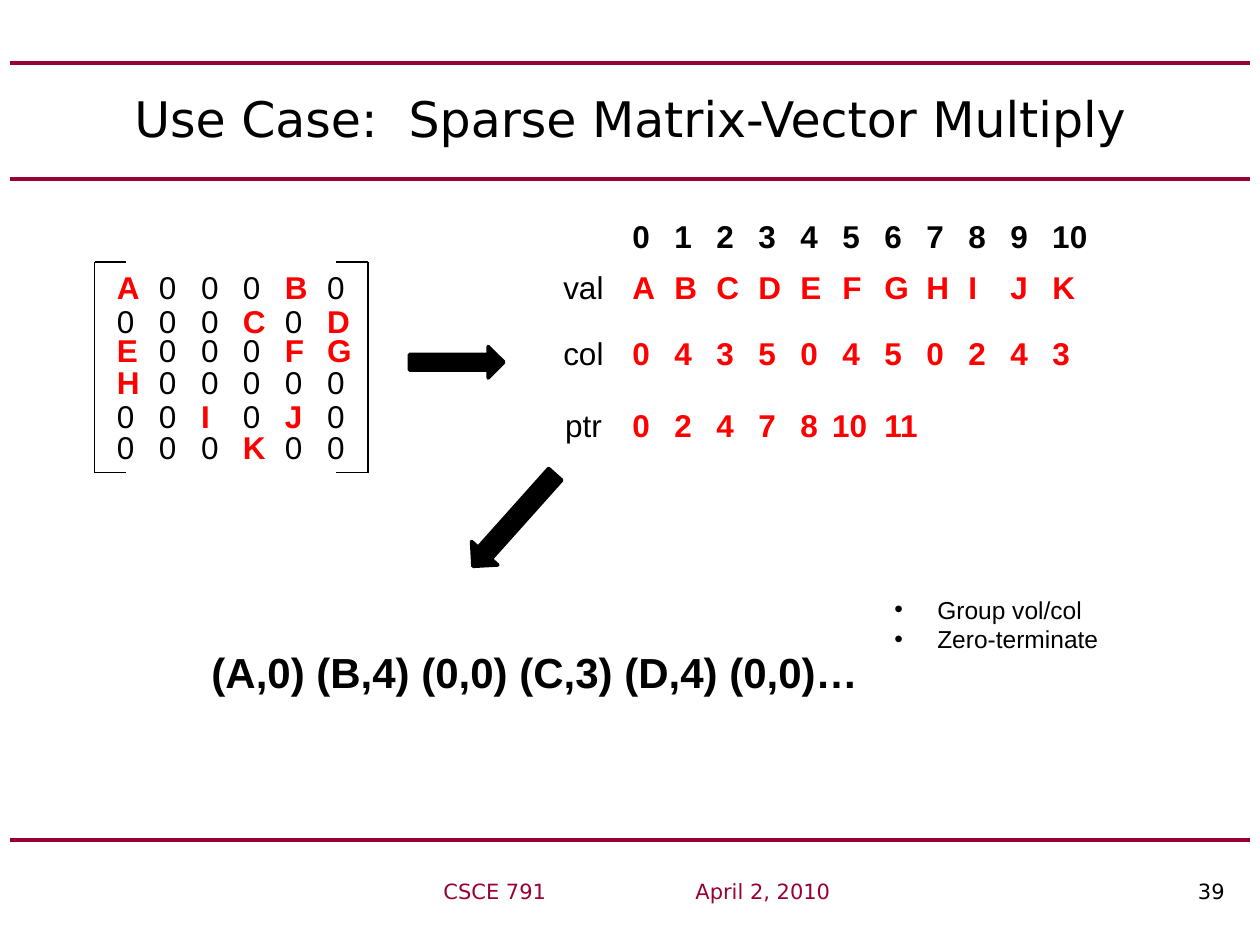
from lxml.etree import SubElement
from pptx import Presentation
from pptx.dml.color import RGBColor
from pptx.enum.shapes import MSO_CONNECTOR, MSO_SHAPE
from pptx.enum.text import MSO_ANCHOR, MSO_AUTO_SIZE, PP_ALIGN
from pptx.oxml.ns import qn
from pptx.util import Inches, Pt

BLACK = RGBColor(0, 0, 0)
RED = RGBColor(0xFF, 0, 0)
MAROON = RGBColor(0x99, 0, 0x33)
STEP = 1 / 3
CELL = 0.4


def style(font, size=18, face="Arial", color=BLACK, bold=False):
    """Format one font."""
    font.size, font.name, font.bold = Pt(size), face, bold
    font.color.rgb = color


def write(slide, text, box, align=PP_ALIGN.LEFT, bullet=None, **look):
    """Add a text box with one paragraph per line of text."""
    shape = slide.shapes.add_textbox(*map(Inches, box))
    frame = shape.text_frame
    frame.word_wrap = True
    frame.auto_size = MSO_AUTO_SIZE.SHAPE_TO_FIT_TEXT
    frame.text = text
    for para in frame.paragraphs:
        para.alignment = align
        if bullet:
            props = para._p.get_or_add_pPr()
            props.set("marL", str(Inches(0.34)))
            props.set("indent", str(-Inches(0.34)))
            SubElement(props, qn("a:buFont"), typeface="Arial")
            SubElement(props, qn("a:buChar"), char=bullet)
        style(para.font, **look)
    return shape


def line(slide, start, end, color=BLACK, width=0.75):
    """Draw a straight line without a shadow."""
    rule = slide.shapes.add_connector(
        MSO_CONNECTOR.STRAIGHT, *map(Inches, start + end))
    rule.line.color.rgb, rule.line.width = color, Pt(width)
    SubElement(rule._element.spPr, qn("a:effectLst"))


def arrow(slide, kind, box, turn=0):
    """Add a solid black block arrow."""
    shape = slide.shapes.add_shape(kind, *map(Inches, box))
    shape.shadow.inherit = False
    shape.fill.solid()
    shape.fill.fore_color.rgb = BLACK
    shape.line.color.rgb, shape.line.width = BLACK, Pt(2)
    shape.rotation = turn


def head(slide, box):
    """Place the title between its two rules."""
    title = slide.shapes.title
    title.left, title.top, title.width, title.height = map(Inches, box)
    frame = title.text_frame
    frame.text = "Use Case:  Sparse Matrix-Vector Multiply"
    frame.word_wrap = True
    frame.vertical_anchor = MSO_ANCHOR.MIDDLE
    para = frame.paragraphs[0]
    para.alignment = PP_ALIGN.CENTER
    style(para.font, size=28, face="DejaVu Sans")
    for y in (0.5, 1.42):
        line(slide, (0.08, y), (9.92, y), MAROON, 2.25)


def foot(slide, box):
    """Place the bottom rule, course, date and page number."""
    line(slide, (0.08, 6.67), (9.92, 6.67), MAROON, 2.25)
    shape = slide.shapes.add_textbox(*map(Inches, box))
    frame = shape.text_frame
    frame.word_wrap = True
    frame.margin_left = Inches(0.69)
    para = frame.paragraphs[0]
    tabs = SubElement(para._p.get_or_add_pPr(), qn("a:tabLst"))
    for stop, side in ((2, "l"), (6.2, "r")):
        SubElement(tabs, qn("a:tab"), pos=str(Inches(stop)), algn=side)
    for text, color in (("CSCE 791\tApril 2, 2010\t", MAROON), ("39", BLACK)):
        run = para.add_run()
        run.text = text
        style(run.font, size=12, face="DejaVu Sans", color=color)


def matrix(slide, box):
    """Place the bracketed matrix with its nonzero entries in red."""
    left, top, width, height = box
    right, base = left + width, top + height
    for x, tip in ((left, left + 0.25), (right, right - 0.25)):
        line(slide, (x, top), (x, base))
        for y in (top, base):
            line(slide, (x, y), (tip, y))
    rows = ("A000B0", "000C0D", "E000FG", "H00000", "00I0J0", "000K00")
    drops = (0, 0.27, 0.5, 0.75, 1.02, 1.27)
    for row, drop in zip(rows, drops):
        for col, mark in enumerate(row):
            full = mark != "0"
            write(slide, mark, (left + 0.08 + col * STEP, top + drop, STEP, CELL),
                  color=RED if full else BLACK, bold=full)


def arrays(slide, box):
    """Place the index row and the labelled val, col and ptr rows."""
    left, top = box[:2]
    rows = (
        ("", 0, "0 1 2 3 4 5 6 7 8 9 10", BLACK),
        ("val", 0.41, "A B C D E F G H I J K", RED),
        ("col", 0.93, "0 4 3 5 0 4 5 0 2 4 3", RED),
        ("ptr", 1.5, "0 2 4 7 8 10 11", RED),
    )
    for name, drop, marks, color in rows:
        if name:
            write(slide, name, (left, top + drop, 0.92, CELL), PP_ALIGN.CENTER)
        for col, mark in enumerate(marks.split()):
            nudge = 0.08 if (name, col) == ("ptr", 5) else 0
            wide = 0.5 if len(mark) > 1 else STEP
            write(slide, mark,
                  (left + 0.75 + col * STEP - nudge, top + drop, wide, CELL),
                  color=color, bold=True)


def stream(slide, box):
    """Place the grouped pairs and the notes on their format."""
    left, top = box[:2]
    write(slide, "(A,0) (B,4) (0,0) (C,3) (D,4) (0,0)…",
          (left, top + 0.41, 6.08, 0.51), size=24, bold=True)
    write(slide, "Group vol/col\nZero-terminate",
          (left + 5.42, top, 1.92, 0.57), bullet="•", size=14)


def main():
    """Build and save the slide."""
    deck = Presentation()
    deck.slide_width, deck.slide_height = Inches(10), Inches(7.5)
    slide = deck.slides.add_slide(deck.slide_layouts[5])
    head(slide, (0.5, 0.5, 9, 0.87))
    foot(slide, (2.83, 6.92, 7, 0.33))
    matrix(slide, (0.75, 2.08, 2.17, 1.67))
    arrow(slide, MSO_SHAPE.RIGHT_ARROW, (3.25, 2.75, 0.75, 0.25))
    arrays(slide, (4.17, 1.67, 4.58, 1.9))
    arrow(slide, MSO_SHAPE.DOWN_ARROW, (3.94, 3.64, 0.28, 0.98), 41.8)
    stream(slide, (1.58, 4.67, 7.34, 0.92))
    deck.save("out.pptx")


if __name__ == "__main__":
    main()
